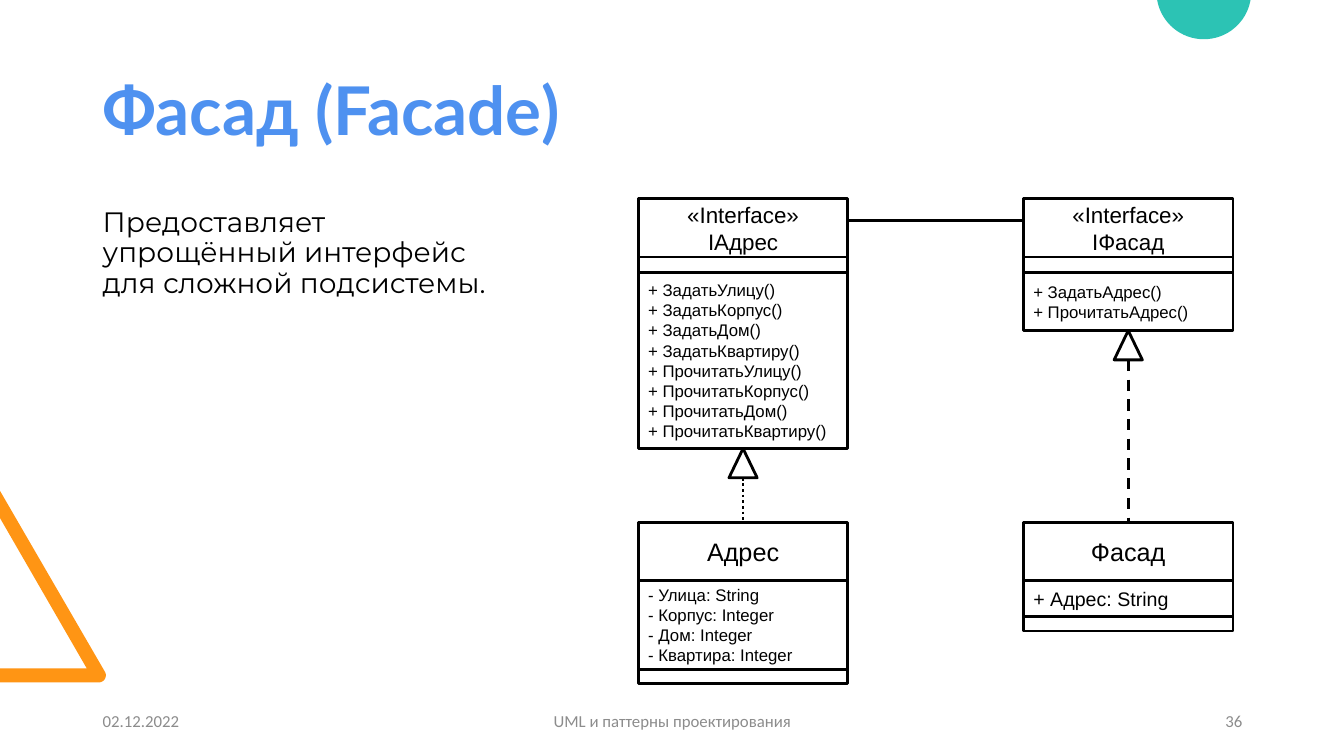
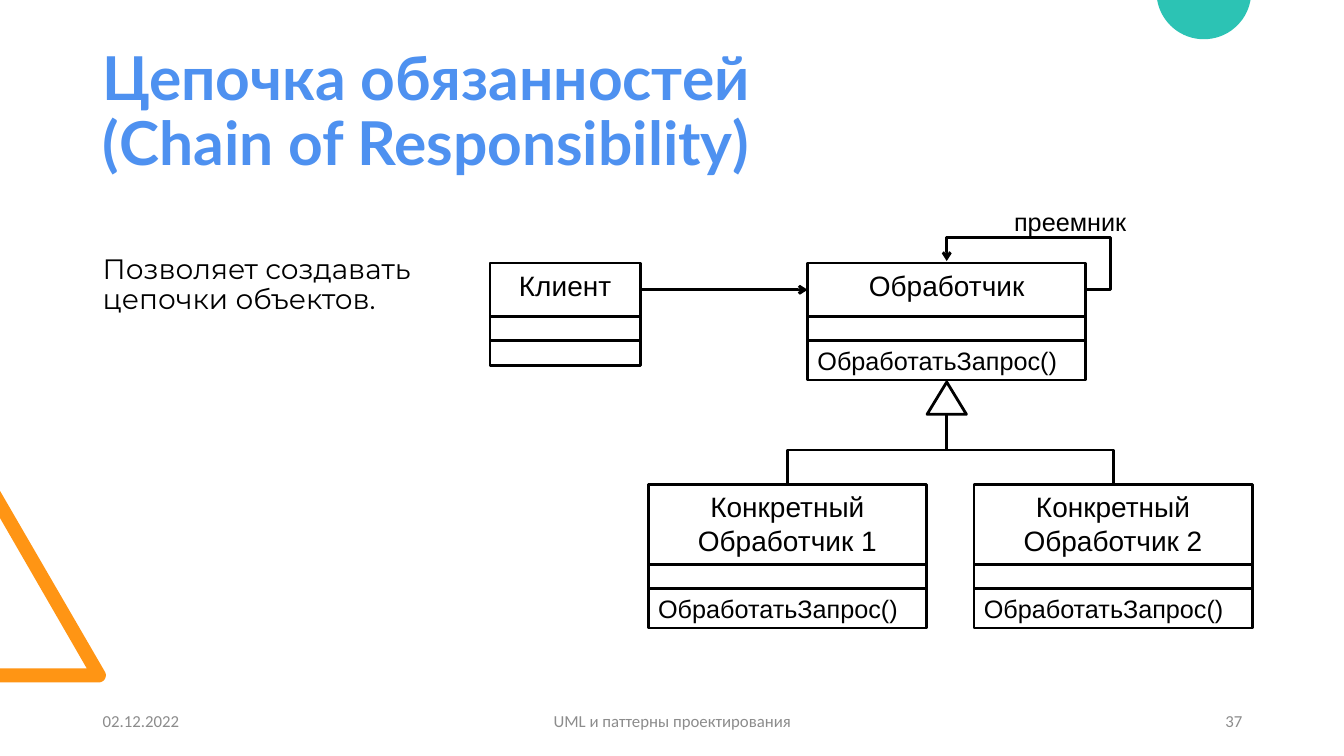
import math
from dataclasses import dataclass, field
from typing import Any, Optional

import pptx
import pptx.dml.color
import pptx.enum.dml
import pptx.enum.shapes
import pptx.enum.text
import pptx.oxml.ns
import pptx.util
from lxml import etree

Inches = pptx.util.Inches
Pt = pptx.util.Pt
Align = pptx.enum.text.PP_ALIGN
Anchor = pptx.enum.text.MSO_ANCHOR
Dash = pptx.enum.dml.MSO_LINE
Preset = pptx.enum.shapes.MSO_SHAPE
Connector = pptx.enum.shapes.MSO_CONNECTOR
qn = pptx.oxml.ns.qn

COLORS = {
    "ink": "000000",
    "paper": "FFFFFF",
    "title": "4E91F0",
    "footer": "8C8C8C",
    "orange": "FF9514",
    "teal": "2CC3B4",
}
Point = tuple[float, float]


@dataclass
class Style:
    color: str = "ink"
    font: dict[str, Any] = field(default_factory=dict)
    para: dict[str, Any] = field(default_factory=dict)
    frame: dict[str, Any] = field(default_factory=dict)


@dataclass
class Section:
    height: float
    lines: tuple[str, ...] = ()
    style: Optional[Style] = None
    filled: bool = False


@dataclass
class ClassBox:
    left: float
    top: float
    width: float
    sections: list[Section]

    @property
    def middle(self) -> float:
        return self.left + self.width / 2

    @property
    def bottom(self) -> float:
        return self.top + sum(section.height for section in self.sections)


def diagram_style(size: int, align: Any, anchor: Any, wrap: bool) -> Style:
    return Style(
        font={"name": "Arial", "size": Pt(size)},
        para={"alignment": align},
        frame={"word_wrap": wrap, "vertical_anchor": anchor},
    )


def title_style(size: float) -> Style:
    return Style(
        "title",
        {"name": "Lato", "size": Pt(size), "bold": True},
        {"line_spacing": 0.9},
        {"word_wrap": True, "vertical_anchor": Anchor.MIDDLE},
    )


def footer_style(align: Any) -> Style:
    return Style(
        "footer",
        {"name": "Calibri", "size": Pt(12)},
        {"alignment": align, "space_after": Pt(6)},
        {"word_wrap": True, "vertical_anchor": Anchor.MIDDLE},
    )


BODY = Style(
    font={"name": "Montserrat", "size": Pt(20)},
    para={"line_spacing": 0.9},
    frame={"word_wrap": True},
)
INTERFACE = diagram_style(16, Align.CENTER, Anchor.MIDDLE, False)
CLASS_NAME = diagram_style(18, Align.CENTER, Anchor.MIDDLE, False)
HANDLER_NAME = diagram_style(20, Align.CENTER, Anchor.TOP, True)
MEMBER = diagram_style(12, Align.LEFT, Anchor.MIDDLE, False)
FIELD = diagram_style(14, Align.LEFT, Anchor.MIDDLE, False)
OPERATION = diagram_style(18, Align.LEFT, Anchor.MIDDLE, False)
ROLE = diagram_style(18, Align.LEFT, Anchor.TOP, False)


def rgb(name: str) -> pptx.dml.color.RGBColor:
    return pptx.dml.color.RGBColor.from_string(COLORS[name])


def apply(target: Any, values: dict[str, Any]) -> None:
    for name, value in values.items():
        setattr(target, name, value)


def write(frame: Any, lines: tuple[str, ...], style: Style) -> None:
    apply(frame, style.frame)
    for index, line in enumerate(lines):
        para = frame.add_paragraph() if index else frame.paragraphs[0]
        para.text = line
        apply(para, style.para)
        for span in para.runs:
            apply(span.font, style.font)
            span.font.color.rgb = rgb(style.color)


def add_text(page: Any, left: float, top: float, width: float, height: float,
             text: str, style: Style) -> None:
    box = page.shapes.add_textbox(Inches(left), Inches(top), Inches(width), Inches(height))
    write(box.text_frame, (text,), style)


def outline(shape: Any, dash: Any = None) -> None:
    shape.line.color.rgb = rgb("ink")
    shape.line.width = Pt(2)
    if dash is not None:
        shape.line.dash_style = dash


def add_outlined(page: Any, preset: Any, left: float, top: float, width: float,
                 height: float, filled: bool = False) -> Any:
    shape = page.shapes.add_shape(
        preset, Inches(left), Inches(top), Inches(width), Inches(height))
    shape.shadow.inherit = False
    if filled:
        shape.fill.solid()
        shape.fill.fore_color.rgb = rgb("paper")
    else:
        shape.fill.background()
    outline(shape)
    return shape


def add_class(page: Any, item: ClassBox) -> Any:
    top = item.top
    boxes = []
    for section in item.sections:
        box = add_outlined(page, Preset.RECTANGLE, item.left, top, item.width,
                           section.height, section.filled)
        if section.style:
            write(box.text_frame, section.lines, section.style)
        boxes.append(box)
        top += section.height
    return boxes[0]


def add_triangle(page: Any, middle: float, top: float, width: float, height: float) -> None:
    add_outlined(page, Preset.ISOSCELES_TRIANGLE, middle - width / 2, top, width, height)


def add_line(page: Any, start: Point, end: Point, kind: Any = Connector.STRAIGHT,
             dash: Any = None, arrow: bool = False) -> Any:
    line = page.shapes.add_connector(kind, *(Inches(value) for value in start + end))
    outline(line, dash)
    if arrow:
        etree.SubElement(line.line._get_or_add_ln(), qn("a:tailEnd"), type="arrow")
    etree.SubElement(line._element.spPr, qn("a:effectLst"))
    return line


def add_vertical_elbow(page: Any, start: Point, end: Point) -> None:
    across, down = abs(end[0] - start[0]), end[1] - start[1]
    x, y = (start[0] + end[0]) / 2, (start[1] + end[1]) / 2
    near, far = x - down / 2, x + down / 2
    rightward = end[0] > start[0]
    first, last = (far, near) if rightward else (near, far)
    line = add_line(page, (first, y - across / 2), (last, y + across / 2), Connector.ELBOW)
    line._element.spPr.find(qn("a:xfrm")).set("rot", str((270 if rightward else 90) * 60000))


def add_loop(page: Any, start: Point, end: Point, adjustments: tuple[int, int]) -> None:
    line = add_line(page, start, end, Connector.ELBOW, arrow=True)
    geometry = line._element.spPr.find(qn("a:prstGeom"))
    geometry.set("prst", "bentConnector4")
    guides = geometry.find(qn("a:avLst"))
    if guides is None:
        guides = etree.SubElement(geometry, qn("a:avLst"))
    for number, value in enumerate(adjustments, 1):
        etree.SubElement(guides, qn("a:gd"), name=f"adj{number}", fmla=f"val {value}")


def arc(x: float, y: float, radius: float, first: float, last: float) -> list[Point]:
    steps = 32
    angles = [math.radians(first + (last - first) * step / steps) for step in range(steps + 1)]
    return [(x + radius * math.cos(angle), y + radius * math.sin(angle)) for angle in angles]


def add_ornament(page: Any, points: list[Point], color: str) -> None:
    corners = [(Inches(x), Inches(y)) for x, y in points]
    builder = page.shapes.build_freeform(*corners[0])
    builder.add_line_segments(corners[1:], close=True)
    shape = builder.convert_to_shape()
    shape.shadow.inherit = False
    shape.fill.solid()
    shape.fill.fore_color.rgb = rgb(color)
    shape.line.fill.background()


def add_page(deck: Any, number: int, title: str, title_size: float) -> Any:
    page = deck.slides.add_slide(deck.slide_layouts[6])
    corner = [(0, 6.77), (0, 6.63), (0.86, 6.63), (0, 5.14), (0, 4.87)]
    add_ornament(page, corner + arc(0.98, 6.7, 0.07, -30, 90), "orange")
    add_ornament(page, arc(11.94, -0.08, 0.47, 10, 170), "teal")
    add_text(page, 0.92, 0.4, 11.5, 1.45, title, title_style(title_size))
    for left, width, text, align in (
        (0.92, 3, "02.12.2022", Align.LEFT),
        (4.42, 4.5, "UML и паттерны проектирования", Align.CENTER),
        (9.42, 3, str(number), Align.RIGHT),
    ):
        add_text(page, left, 6.95, width, 0.4, text, footer_style(align))
    return page


def facade_page(deck: Any) -> None:
    page = add_page(deck, 36, "Фасад (Facade)", 48)
    add_text(page, 0.92, 2.02, 4.42, 4.76,
             "Предоставляет\vупрощённый интерфейс\vдля сложной подсистемы.", BODY)
    parts = ("Улицу", "Корпус", "Дом", "Квартиру")
    address_methods = tuple(
        f"+ {verb}{part}()" for verb in ("Задать", "Прочитать") for part in parts)
    facade_methods = ("+ ЗадатьАдрес()", "+ ПрочитатьАдрес()")
    address_fields = ("- Улица: String", "- Корпус: Integer", "- Дом: Integer",
                      "- Квартира: Integer")
    width, name_height, class_top = 2.08, 0.58, 5.18
    for left, name, methods, methods_height, fields, fields_height, style, dash in (
        (6.33, "Адрес", address_methods, 1.75, address_fields, 0.88, MEMBER, Dash.ROUND_DOT),
        (10.15, "Фасад", facade_methods, 0.58, ("+ Адрес: String",), 0.36, FIELD, Dash.DASH),
    ):
        interface = ClassBox(left, 1.97, width, [
            Section(name_height, ("«Interface»", f"I{name}"), INTERFACE),
            Section(0.15),
            Section(methods_height, methods, MEMBER),
        ])
        add_class(page, interface)
        concrete = add_class(page, ClassBox(left, class_top, width, [
            Section(name_height, (name,), CLASS_NAME),
            Section(fields_height, fields, style),
            Section(0.14),
        ]))
        middle, bottom = interface.middle, interface.bottom
        add_triangle(page, middle, bottom, 0.28, 0.29)
        line = add_line(page, (middle, bottom + 0.29), (middle, class_top), dash=dash)
        line.end_connect(concrete, 0)
    add_line(page, (8.41, 2.19), (10.15, 2.19))


def chain_page(deck: Any) -> None:
    page = add_page(deck, 37, "Цепочка обязанностей\v(Chain of Responsibility)", 43.2)
    add_text(page, 0.92, 2.48, 4.17, 4.28, "Позволяет создавать цепочки объектов.", BODY)
    operation = Section(0.39, ("ОбработатьЗапрос()",), OPERATION)

    def sections(name: str, height: float, last: Section) -> list[Section]:
        return [Section(height, (name,), HANDLER_NAME, True), Section(0.24), last]

    client = add_class(
        page, ClassBox(4.86, 2.61, 1.49, sections("Клиент", 0.53, Section(0.25))))
    handler = ClassBox(8.01, 2.61, 2.76, sections("Обработчик", 0.53, operation))
    handler_box = add_class(page, handler)
    add_triangle(page, handler.middle, 3.79, 0.39, 0.32)
    for number, left in enumerate((6.43, 9.66), 1):
        concrete = ClassBox(
            left, 4.81, 2.76, sections(f"Конкретный Обработчик {number}", 0.79, operation))
        add_class(page, concrete)
        add_vertical_elbow(page, (handler.middle, 4.12), (concrete.middle, concrete.top))
    request = add_line(page, (6.35, 2.87), (8.01, 2.87), arrow=True)
    request.begin_connect(client, 3)
    request.end_connect(handler_box, 1)
    add_loop(page, (10.78, 2.87), (handler.middle, 2.59), (-17000, 183900))
    add_text(page, 9.96, 2, 1.31, 0.4, "преемник", ROLE)


def main() -> None:
    deck = pptx.Presentation()
    apply(deck, {"slide_width": Inches(13.33), "slide_height": Inches(7.5)})
    facade_page(deck)
    chain_page(deck)
    deck.save("out.pptx")


if __name__ == "__main__":
    main()
